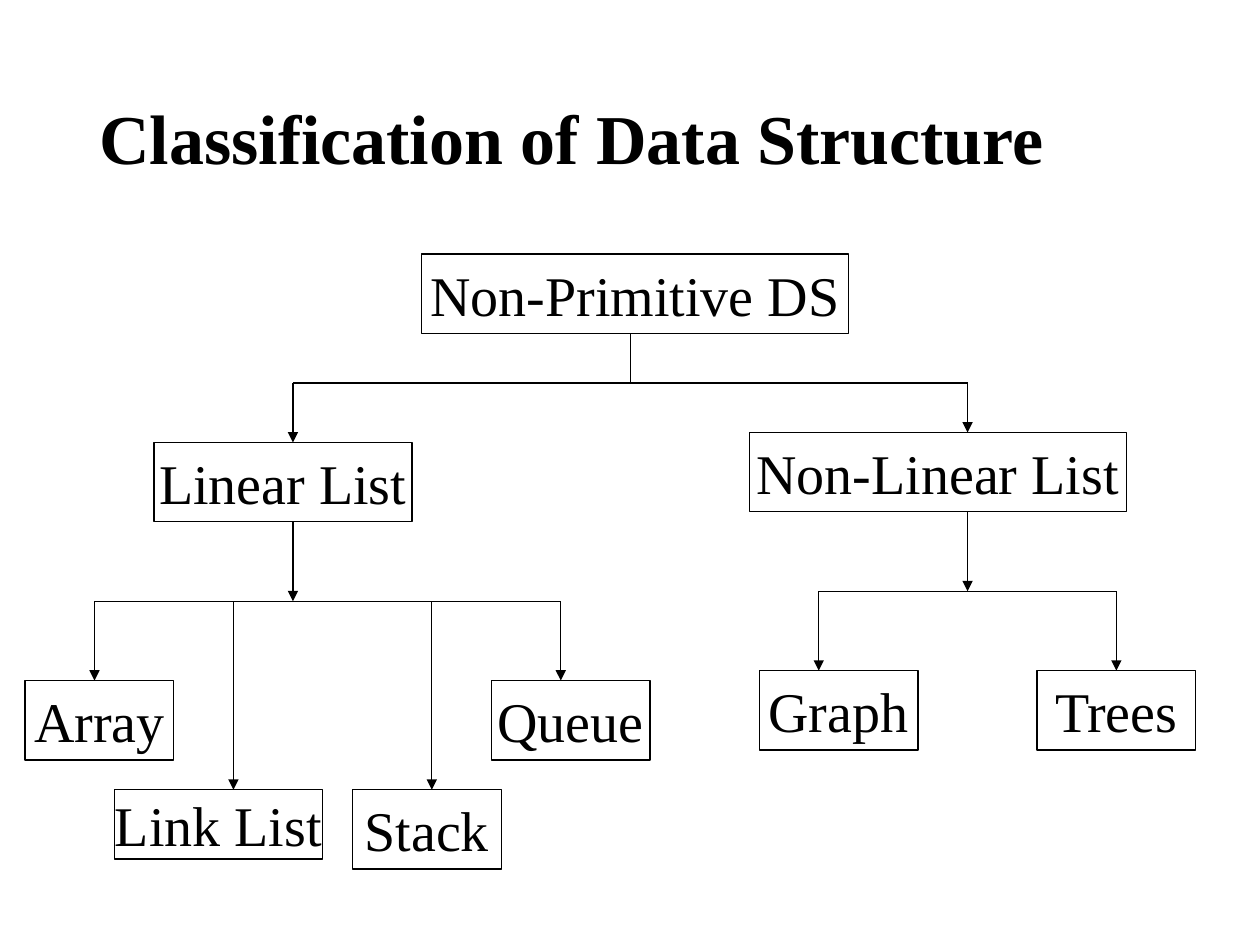
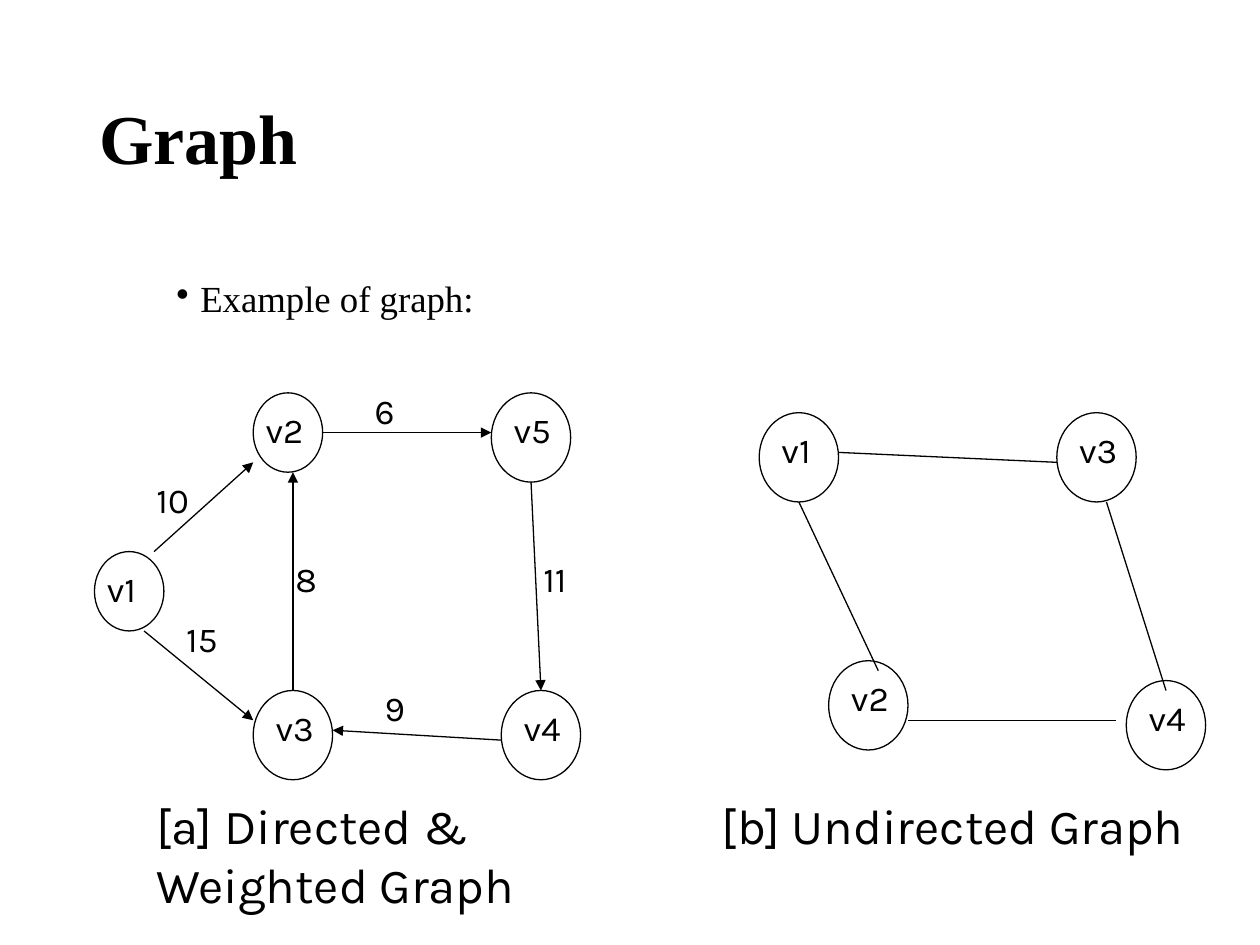
from lxml import etree
from pptx import Presentation
from pptx.dml.color import RGBColor
from pptx.enum.shapes import MSO_CONNECTOR, MSO_SHAPE
from pptx.enum.text import MSO_ANCHOR, MSO_AUTO_SIZE, PP_ALIGN
from pptx.oxml.ns import qn
from pptx.util import Inches, Mm, Pt

RECT, OVAL = MSO_SHAPE.RECTANGLE, MSO_SHAPE.OVAL
STRAIGHT = MSO_CONNECTOR.STRAIGHT
TOP, MIDDLE = MSO_ANCHOR.TOP, MSO_ANCHOR.MIDDLE
LEFT, CENTER = PP_ALIGN.LEFT, PP_ALIGN.CENTER
GROW = MSO_AUTO_SIZE.SHAPE_TO_FIT_TEXT

SERIF, SANS = "Times New Roman", "Karla"
INK, PAPER = "000000", "FFFFFF"
CELL, ORIGIN_X, ORIGIN_Y = 2, 1.05, 1.2
LABEL_COLS, LABEL_ROWS = 7, 5.6


def paint(target, hex_color):
    if hasattr(target, "solid"):
        target.solid()
        target = target.fore_color
    target.rgb = RGBColor.from_string(hex_color)


def write(frame, text, size, font=SERIF, bold=False, align=LEFT, anchor=TOP,
          before=0, spacing=1.0, wrap=True, bullet=None):
    frame.word_wrap = wrap
    frame.vertical_anchor = anchor
    paragraph = frame.paragraphs[0]
    paragraph.alignment = align
    paragraph.line_spacing = spacing
    paragraph.space_before = Pt(before)
    run = paragraph.add_run()
    run.text = text
    run.font.name, run.font.size, run.font.bold = font, Pt(size), bold
    paint(run.font.color, INK)
    if bullet:
        props = paragraph._p.get_or_add_pPr()
        props.set("marL", str(Inches(0.19)))
        props.set("indent", str(-Inches(0.19)))
        etree.SubElement(props, qn("a:buChar")).set("char", bullet)


class Deck:
    def __init__(self):
        self.show = Presentation()
        self.show.slide_width, self.show.slide_height = Inches(10), Inches(7.5)

    def place(self, col, row):
        return Mm(ORIGIN_X + col * CELL), Mm(ORIGIN_Y + row * CELL)

    def area(self, col, row, cols, rows):
        return *self.place(col, row), Mm(cols * CELL), Mm(rows * CELL)

    def start(self, title):
        slide = self.show.slides.add_slide(self.show.slide_layouts[6])
        paint(slide.background.fill, PAPER)
        self.shapes = slide.shapes
        self.text(title, 8.25, 4.5, 109.6, 18.4, size=40, bold=True,
                  anchor=MIDDLE, spacing=0.9)

    def text(self, words, col, row, cols, rows, grow=False, **style):
        frame = self.shapes.add_textbox(*self.area(col, row, cols, rows)).text_frame
        write(frame, words, **style)
        if grow:
            frame.auto_size = GROW

    def outline(self, kind, col, row, cols, rows):
        shape = self.shapes.add_shape(kind, *self.area(col, row, cols, rows))
        shape.shadow.inherit = False
        paint(shape.fill, PAPER)
        paint(shape.line.fill, INK)
        shape.line.width = Pt(0.75)
        return shape

    def box(self, words, col, row, cols, rows=8):
        write(self.outline(RECT, col, row, cols, rows).text_frame, words, size=32,
              align=CENTER, anchor=MIDDLE, wrap=False)

    def label(self, words, col, row):
        self.text(words, col, row, LABEL_COLS, LABEL_ROWS, grow=True,
                  size=20, font=SANS, before=12.5)

    def node(self, name, col, row, cols=8, rows=9):
        self.outline(OVAL, col, row, cols, rows)
        self.label(name, col + cols - LABEL_COLS, row + 1)

    def caption(self, words, col, rows):
        self.text(words, col, 79, 52, rows, grow=True, size=28, font=SANS, before=17.5)

    def line(self, start, end, arrow=False):
        link = self.shapes.add_connector(STRAIGHT, *self.place(*start), *self.place(*end))
        paint(link.line.fill, INK)
        link.line.width = Pt(0.75)
        if arrow:
            etree.SubElement(link.line._get_or_add_ln(), qn("a:tailEnd")).set("type", "triangle")
        etree.SubElement(link._element.spPr, qn("a:effectLst"))

    def fork(self, stem, top, bus, drops, stem_arrow=True):
        self.line((stem, top), (stem, bus), stem_arrow)
        self.line((min(drops), bus), (max(drops), bus))
        for col, bottom in drops.items():
            self.line((col, bus), (col, bottom), True)


def classification(deck):
    deck.start("Classification of Data Structure")
    for kind in (
        ("Non-Primitive DS", 42, 25, 43),
        ("Linear List", 15, 44, 26),
        ("Non-Linear List", 75, 43, 38),
        ("Array", 2, 68, 15),
        ("Link List", 11, 79, 21, 7),
        ("Stack", 35, 79, 15),
        ("Queue", 49, 68, 16),
        ("Graph", 76, 67, 16),
        ("Trees", 104, 67, 16),
    ):
        deck.box(*kind)
    deck.fork(63, 33, 38, {29: 44, 97: 43}, stem_arrow=False)
    deck.fork(29, 52, 60, {9: 68, 23: 79, 43: 79, 56: 68})
    deck.fork(97, 51, 59, {82: 67, 112: 67})


def graph_examples(deck):
    deck.start("Graph")
    deck.text("Example of graph:", 16, 27.1, 108, 57.15, size=21, before=7.5,
              spacing=0.9, bullet="•")

    directed = (("v2", 25, 39, 7, 8), ("v1", 9, 55, 7, 8), ("v5", 49, 39),
                ("v3", 25, 69), ("v4", 50, 69))
    undirected = (("v1", 76, 41), ("v2", 83, 66), ("v4", 113, 68), ("v3", 106, 41))
    for vertex in directed + undirected:
        deck.node(*vertex)

    for weight, start, end, spot in (
        ("10", (15, 55), (25, 46), (14, 47)),
        ("15", (14, 63), (25, 72), (17, 61)),
        ("8", (29, 69), (29, 47), (28, 55)),
        ("6", (32, 43), (49, 43), (36, 38)),
        ("11", (53, 48), (54, 69), (53, 55)),
        ("9", (50, 74), (33, 73), (37, 68)),
    ):
        deck.line(start, end, arrow=True)
        deck.label(weight, *spot)

    for start, end in (
        ((84, 45), (106, 46)),
        ((91, 72), (112, 72)),
        ((80, 50), (88, 67)),
        ((111, 50), (117, 69)),
    ):
        deck.line(start, end)

    deck.caption("[a] Directed & Weighted Graph", 14, 13.2)
    deck.caption("[b] Undirected Graph", 71, 7.2)


def main():
    deck = Deck()
    classification(deck)
    graph_examples(deck)
    deck.show.save("out.pptx")


if __name__ == "__main__":
    main()
